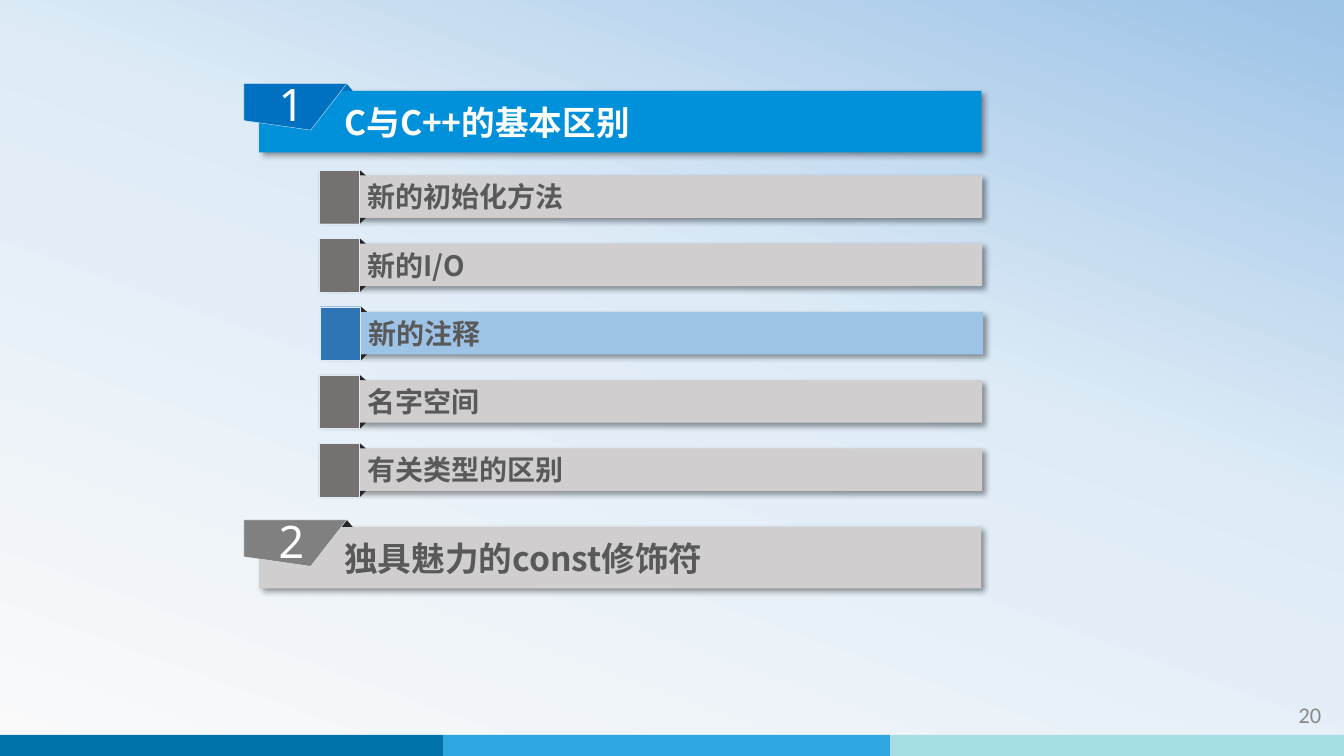
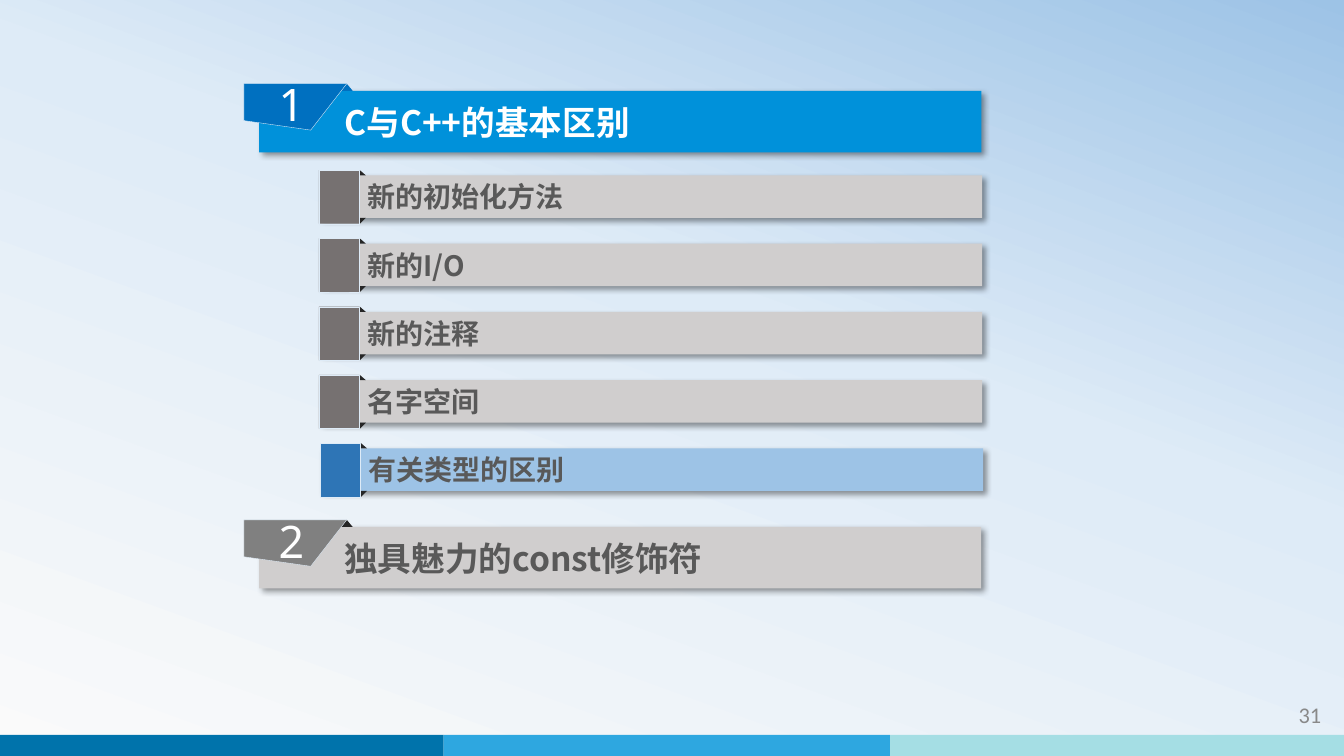
import copy
from itertools import pairwise

from lxml import etree
from pptx import Presentation
from pptx import util as u
from pptx.dml.color import RGBColor
from pptx.enum import shapes, text
from pptx.oxml import ns

COLORS = {
    "white": "FFFFFF", "paper": "FAFAFA", "pale": "DEEBF7", "sky": "9DC3E6",
    "band_dark": "0073AB", "band_mid": "2EA7E0", "band_light": "A5DEE4",
    "chapter": "0091DA", "flag": "0070C0", "marker": "2E75B6",
    "idle": "D0CECE", "idle_flag": "808080", "idle_marker": "767171",
    "fold": "262626", "ink": "595959", "number": "898989",
}
HEADING_FONT = "Noto Sans CJK SC"
WIDTH, HEIGHT = 33.87, 19.05
CHAPTERS = ["C与C++的基本区别", "独具魅力的const修饰符"]
TOPICS = ["新的初始化方法", "新的I/O", "新的注释", "名字空间", "有关类型的区别"]
CHAPTER_LEFT, CHAPTER_TOPS = 6.53, (2.29, 13.28)
TOPIC_LEFT, TOPIC_TOP, TOPIC_STEP = 8.06, 4.42, 1.72
AGENDAS = [(20, 2), (31, 4)]


def rgb(name):
    return RGBColor.from_string(COLORS[name])


def paint(shape, fill, line=None):
    shape.fill.solid()
    shape.fill.fore_color.rgb = rgb(fill)
    if line:
        shape.line.color.rgb = rgb(line)
        shape.line.width = u.Pt(0.25)
    else:
        shape.line.fill.background()


def add_block(page, kind, box, fill, line=None):
    block = page.shapes.add_shape(kind, *map(u.Cm, box))
    block.shadow.inherit = False
    paint(block, fill, line)
    return block


def add_shadow(shape):
    shape.shadow.inherit = False
    effects = shape.element.spPr.find(ns.qn("a:effectLst"))
    shadow = etree.SubElement(effects, ns.qn("a:outerShdw"), blurRad="50800",
                              dist="38100", dir="2700000", algn="tl", rotWithShape="0")
    color = etree.SubElement(shadow, ns.qn("a:srgbClr"), val="000000")
    etree.SubElement(color, ns.qn("a:alpha"), val="40000")


def write(shape, words, size, color, font, align, insets, bold=False,
          anchor=text.MSO_ANCHOR.MIDDLE):
    frame = shape.text_frame
    frame.text = words
    frame.word_wrap = True
    frame.auto_size = text.MSO_AUTO_SIZE.NONE
    frame.vertical_anchor = anchor
    (frame.margin_left, frame.margin_top,
     frame.margin_right, frame.margin_bottom) = map(u.Cm, insets)
    para = frame.paragraphs[0]
    para.alignment = align
    span = para.runs[0]
    span.font.name = font
    span.font.size = u.Pt(size)
    span.font.bold = bold
    span.font.color.rgb = rgb(color)
    latin = span.font._element.find(ns.qn("a:latin"))
    latin.addnext(latin.makeelement(ns.qn("a:ea"), {"typeface": font}))


def write_heading(bar, words, size, color, indent):
    write(bar, words, size, color, HEADING_FONT, text.PP_ALIGN.LEFT,
          (indent, 0.13, 0.25, 0.13), bold=True)
    add_shadow(bar)


def set_background(master):
    fill = master.background.fill
    fill.gradient()
    stop_list = master.element.find(".//" + ns.qn("a:gsLst"))
    while len(stop_list) < 3:
        stop_list.append(copy.deepcopy(stop_list[0]))
    stops = ((0, "paper"), (0.58, "pale"), (1, "sky"))
    for stop, (position, color) in zip(fill.gradient_stops, stops):
        stop.position = position
        stop.color.rgb = rgb(color)
    fill.gradient_angle = 70


def add_bands(page, layout):
    edges = pairwise((0, 11.18, 22.43, WIDTH))
    for (left, right), color in zip(edges, ("band_dark", "band_mid", "band_light")):
        band = add_block(page, shapes.MSO_SHAPE.RECTANGLE,
                         (left, 18.52, right - left, HEIGHT - 18.52), color)
        layout.shapes.element.append(band.element)


def add_page_number(page, number):
    box = page.shapes.add_textbox(*map(u.Cm, (29.51, 17.55, 4.04, 1.02)))
    write(box, str(number), 16, "number", "Calibri", text.PP_ALIGN.RIGHT,
          (0.25, 0.13, 0.25, 0.13), anchor=text.MSO_ANCHOR.TOP)


def add_flag(page, left, top, number, color):
    corners = [(left + x, top + y) for x, y in ((0, 0), (2.59, 0), (1.68, 1.17), (0, 0.93))]
    points = [(u.Cm(x), u.Cm(y)) for x, y in corners]
    outline = page.shapes.build_freeform(*points[0])
    outline.add_line_segments(points[1:], close=True)
    flag = outline.convert_to_shape()
    flag.shadow.inherit = False
    paint(flag, color, "pale")
    write(flag, str(number), 32, "white", "Noto Sans", text.PP_ALIGN.CENTER,
          (0.23, 0.1, 0.43, 0.25))


def add_chapter(page, left, top, number, current):
    box = (left, top, 18.2, 1.55)
    if current:
        bar = page.shapes.title
        bar.left, bar.top, bar.width, bar.height = map(u.Cm, box)
        paint(bar, "chapter")
    else:
        bar = add_block(page, shapes.MSO_SHAPE.RECTANGLE, box, "idle")
    write_heading(bar, CHAPTERS[number - 1], 24, "white" if current else "ink", 2.15)
    add_block(page, shapes.MSO_SHAPE.ISOSCELES_TRIANGLE,
              (left + 2.06, top - 0.18, 0.3, 0.18), "flag" if current else "fold")
    add_flag(page, left - 0.38, top - 0.18, number, "flag" if current else "idle_flag")


def add_topic(page, left, top, words, current):
    bar = add_block(page, shapes.MSO_SHAPE.RECTANGLE, (left, top, 16.69, 1.07),
                    "sky" if current else "idle")
    write_heading(bar, words, 20, "ink", 1.2)
    for offset, height, turn in ((-0.13, 0.13, 0), (1.07, 0.15, 180)):
        fold = add_block(page, shapes.MSO_SHAPE.ISOSCELES_TRIANGLE,
                         (left + 0.86, top + offset, 0.3, height), "fold")
        fold.rotation = turn
    add_block(page, shapes.MSO_SHAPE.RECTANGLE, (left - 0.02, top - 0.13, 1.02, 1.35),
              "marker" if current else "idle_marker", "pale")


def add_agenda(deck, layout, page_number, current_topic):
    page = deck.slides.add_slide(layout)
    for number, top in enumerate(CHAPTER_TOPS, 1):
        add_chapter(page, CHAPTER_LEFT, top, number, number == 1)
    for index, words in enumerate(TOPICS):
        current = index == current_topic
        add_topic(page, TOPIC_LEFT + 0.03 * current, TOPIC_TOP + index * TOPIC_STEP,
                  words, current)
    add_page_number(page, page_number)
    return page


def main():
    deck = Presentation()
    deck.slide_width, deck.slide_height = u.Cm(WIDTH), u.Cm(HEIGHT)
    layout = deck.slide_layouts[5]
    set_background(deck.slide_master)
    pages = [add_agenda(deck, layout, *agenda) for agenda in AGENDAS]
    add_bands(pages[0], layout)
    deck.save("out.pptx")


if __name__ == "__main__":
    main()
